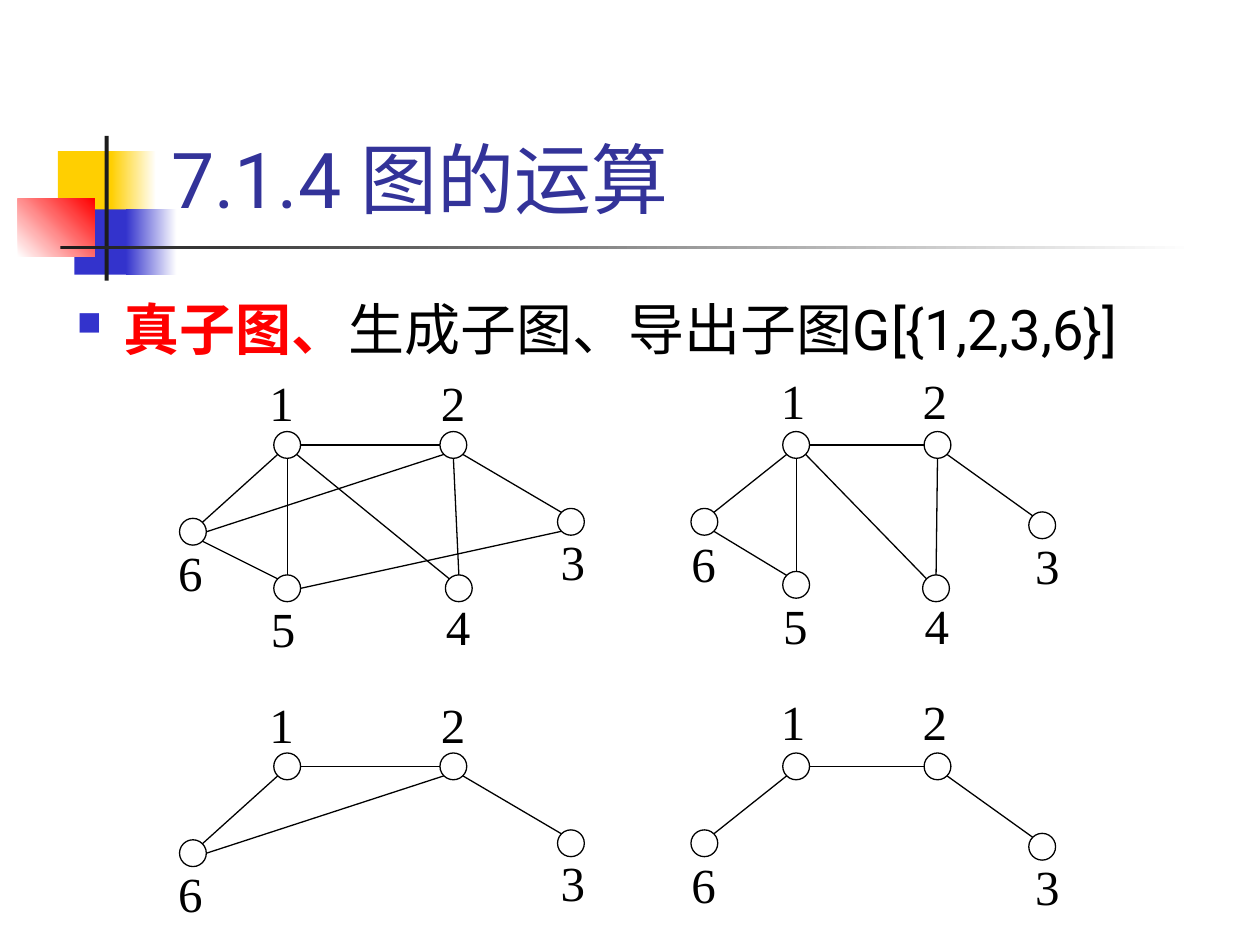
import pptx
import pptx.util
import pptx.dml.color
import pptx.enum.shapes
import pptx.enum.text
import pptx.oxml
import pptx.oxml.ns

Cm = pptx.util.Cm
Pt = pptx.util.Pt
RGBColor = pptx.dml.color.RGBColor
MSO_SHAPE = pptx.enum.shapes.MSO_SHAPE

WHITE = RGBColor(0xFF, 0xFF, 0xFF)
BLACK = RGBColor(0x00, 0x00, 0x00)
RED = RGBColor(0xFF, 0x00, 0x00)
YELLOW = RGBColor(0xFF, 0xCF, 0x01)
BLUE = RGBColor(0x33, 0x33, 0xCC)
NAVY = RGBColor(0x33, 0x33, 0x99)
DARK = RGBColor(0x1C, 0x1C, 0x1C)

RADIUS = 0.27
DIAGONAL = RADIUS * 0.5 ** 0.5
SITES = {
    "N": (0, -RADIUS), "S": (0, RADIUS), "W": (-RADIUS, 0), "E": (RADIUS, 0),
    "NW": (-DIAGONAL, -DIAGONAL), "NE": (DIAGONAL, -DIAGONAL),
    "SW": (-DIAGONAL, DIAGONAL), "SE": (DIAGONAL, DIAGONAL),
}
LOWER_ROW = 6.48

LEFT_NODES = {
    1: (5.79, 8.97), 2: (9.14, 8.97), 3: (11.51, 10.52),
    4: (9.25, 11.86), 5: (5.79, 11.86), 6: (3.89, 10.72),
}
LEFT_LABELS = {
    1: (5.18, 7.39), 2: (8.64, 7.39), 3: (11.05, 10.59),
    4: (8.74, 11.91), 5: (5.21, 11.94), 6: (3.34, 10.81),
}
RIGHT_NODES = {
    1: (16.05, 8.97), 2: (18.9, 8.97), 3: (21.01, 10.59),
    4: (18.87, 11.86), 5: (16.05, 11.79), 6: (14.2, 10.52),
}
RIGHT_LABELS = {
    1: (15.49, 7.34), 2: (18.35, 7.34), 3: (20.62, 10.67),
    4: (18.39, 11.89), 5: (15.54, 11.89), 6: (13.69, 10.63),
}

PATH_EDGES = [(1, "E", 2, "W"), (1, "SW", 6, "NE"), (2, "SE", 3, "NW")]
INNER_EDGES = [
    (1, "S", 5, "N"), (2, "S", 4, "N"), (1, "SE", 4, "NW"), (6, "SE", 5, "NW"),
]
CHORD = (2, "SW", 6, "E")
LONG_EDGE = (3, "SW", 5, "E")


class Deck:
    font = "Roboto"
    label_font = "Times New Roman"
    line_width = Pt(0.75)

    def __init__(self):
        self.prs = pptx.Presentation()
        self.prs.slide_width = Cm(25.4)
        self.prs.slide_height = Cm(19.05)
        self.s = self.prs.slides.add_slide(self.prs.slide_layouts[6])

    def shape(self, kind, x, y, w, h, fill, line=None):
        sp = self.s.shapes.add_shape(kind, Cm(x), Cm(y), Cm(w), Cm(h))
        sp.shadow.inherit = False
        sp.fill.solid()
        sp.fill.fore_color.rgb = fill
        if line is None:
            sp.line.fill.background()
        else:
            sp.line.color.rgb = line
            sp.line.width = self.line_width
        return sp

    def block(self, x, y, w, h, start, end=None, angle=0):
        sp = self.shape(MSO_SHAPE.RECTANGLE, x, y, w, h, start)
        if end is not None:
            sp.fill.gradient()
            sp.fill.gradient_angle = angle
            for stop, color in zip(sp.fill.gradient_stops, (start, end)):
                stop.color.rgb = color

    def format_run(self, r, size, color, font, bold=False):
        r.font.size = Pt(size)
        r.font.color.rgb = color
        r.font.name = font
        r.font.bold = bold

    def textbox(self, x, y, w, h, anchor):
        tf = self.s.shapes.add_textbox(Cm(x), Cm(y), Cm(w), Cm(h)).text_frame
        tf.word_wrap = True
        tf.vertical_anchor = anchor
        return tf

    def title(self, text):
        tf = self.textbox(3.2, 0.58, 21.64, 4.06, pptx.enum.text.MSO_ANCHOR.BOTTOM)
        tf.text = text
        self.format_run(tf.paragraphs[0].runs[0], 44, NAVY, self.font)

    def bullet(self, strong, rest):
        tf = self.textbox(1.3, 5.13, 24.1, 13.92, pptx.enum.text.MSO_ANCHOR.TOP)
        p = tf.paragraphs[0]
        p.line_spacing = 1.5
        pPr = p._p.get_or_add_pPr()
        pPr.set("marL", str(Cm(0.95)))
        pPr.set("indent", str(-Cm(0.95)))
        ns = pptx.oxml.ns.nsdecls("a")
        for xml in (
            f'<a:buClr {ns}><a:srgbClr val="{BLUE}"/></a:buClr>',
            f'<a:buSzPct {ns} val="60000"/>',
            f'<a:buChar {ns} char="■"/>',
        ):
            pPr.append(pptx.oxml.parse_xml(xml))
        for text, color, bold in ((strong, RED, True), (rest, BLACK, False)):
            r = p.add_run()
            r.text = text
            self.format_run(r, 32, color, self.font, bold)

    def label(self, x, y, text):
        sp = self.shape(MSO_SHAPE.RECTANGLE, x, y, 1.88, 1.63, WHITE, WHITE)
        tf = sp.text_frame
        tf.vertical_anchor = pptx.enum.text.MSO_ANCHOR.TOP
        tf.text = text
        p = tf.paragraphs[0]
        p.alignment = pptx.enum.text.PP_ALIGN.LEFT
        self.format_run(p.runs[0], 28, BLACK, self.label_font)

    def node(self, x, y):
        size = 2 * RADIUS
        self.shape(MSO_SHAPE.OVAL, x - RADIUS, y - RADIUS, size, size, WHITE, BLACK)

    def edge(self, x1, y1, x2, y2):
        line = self.s.shapes.add_connector(
            pptx.enum.shapes.MSO_CONNECTOR.STRAIGHT, Cm(x1), Cm(y1), Cm(x2), Cm(y2))
        line.line.color.rgb = BLACK
        line.line.width = self.line_width
        line._element.spPr.append(
            pptx.oxml.parse_xml(f'<a:effectLst {pptx.oxml.ns.nsdecls("a")}/>'))

    def graph(self, nodes, labels, edges, dy=0):
        used = sorted({n for a, _, b, _ in edges for n in (a, b)})
        for n in used:
            x, y = labels[n]
            self.label(x, y + dy, str(n))
        for n in used:
            x, y = nodes[n]
            self.node(x, y + dy)
        for a, site_a, b, site_b in edges:
            ends = []
            for n, site in ((a, site_a), (b, site_b)):
                ends += [nodes[n][0] + SITES[site][0], nodes[n][1] + SITES[site][1] + dy]
            self.edge(*ends)


def main():
    deck = Deck()
    deck.block(1.17, 3.05, 1.22, 1.32, YELLOW)
    deck.block(2.24, 3.05, 0.91, 1.32, YELLOW, WHITE)
    deck.block(1.5, 4.22, 1.17, 1.32, BLUE)
    deck.block(2.54, 4.22, 1.02, 1.32, BLUE, WHITE)
    deck.block(0.36, 4.01, 1.55, 1.17, WHITE, RED, 45)
    deck.block(2.11, 2.74, 0.08, 2.92, DARK)
    deck.block(1.22, 4.95, 22.86, 0.08, DARK, WHITE)

    deck.title("7.1.4 图的运算")
    deck.bullet("真子图、", "生成子图、导出子图G[{1,2,3,6}]")

    deck.graph(LEFT_NODES, LEFT_LABELS, PATH_EDGES + INNER_EDGES + [CHORD, LONG_EDGE])
    deck.graph(RIGHT_NODES, RIGHT_LABELS, PATH_EDGES + INNER_EDGES)
    deck.graph(LEFT_NODES, LEFT_LABELS, PATH_EDGES + [CHORD], LOWER_ROW)
    deck.graph(RIGHT_NODES, RIGHT_LABELS, PATH_EDGES, LOWER_ROW)
    deck.prs.save("out.pptx")


if __name__ == "__main__":
    main()
